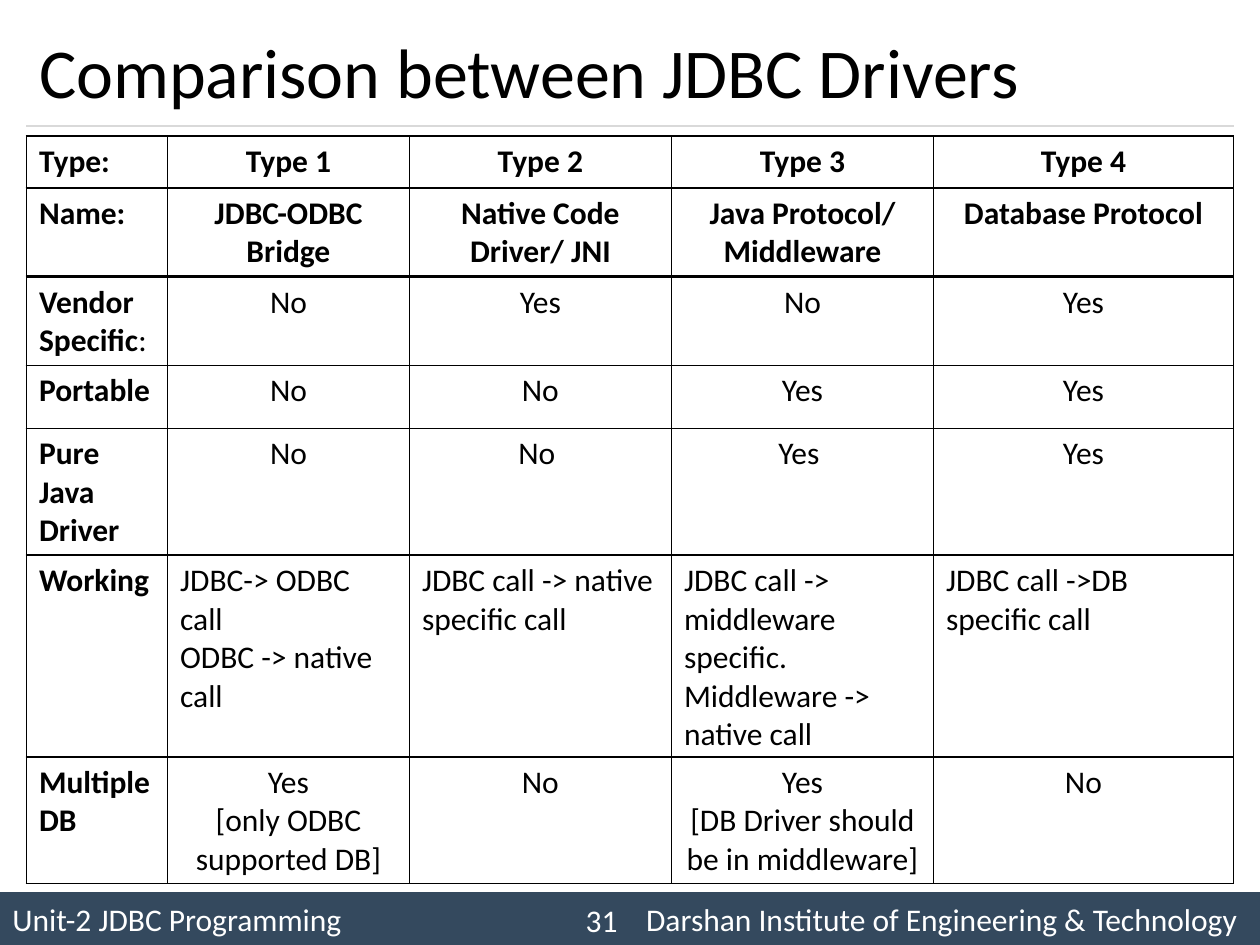
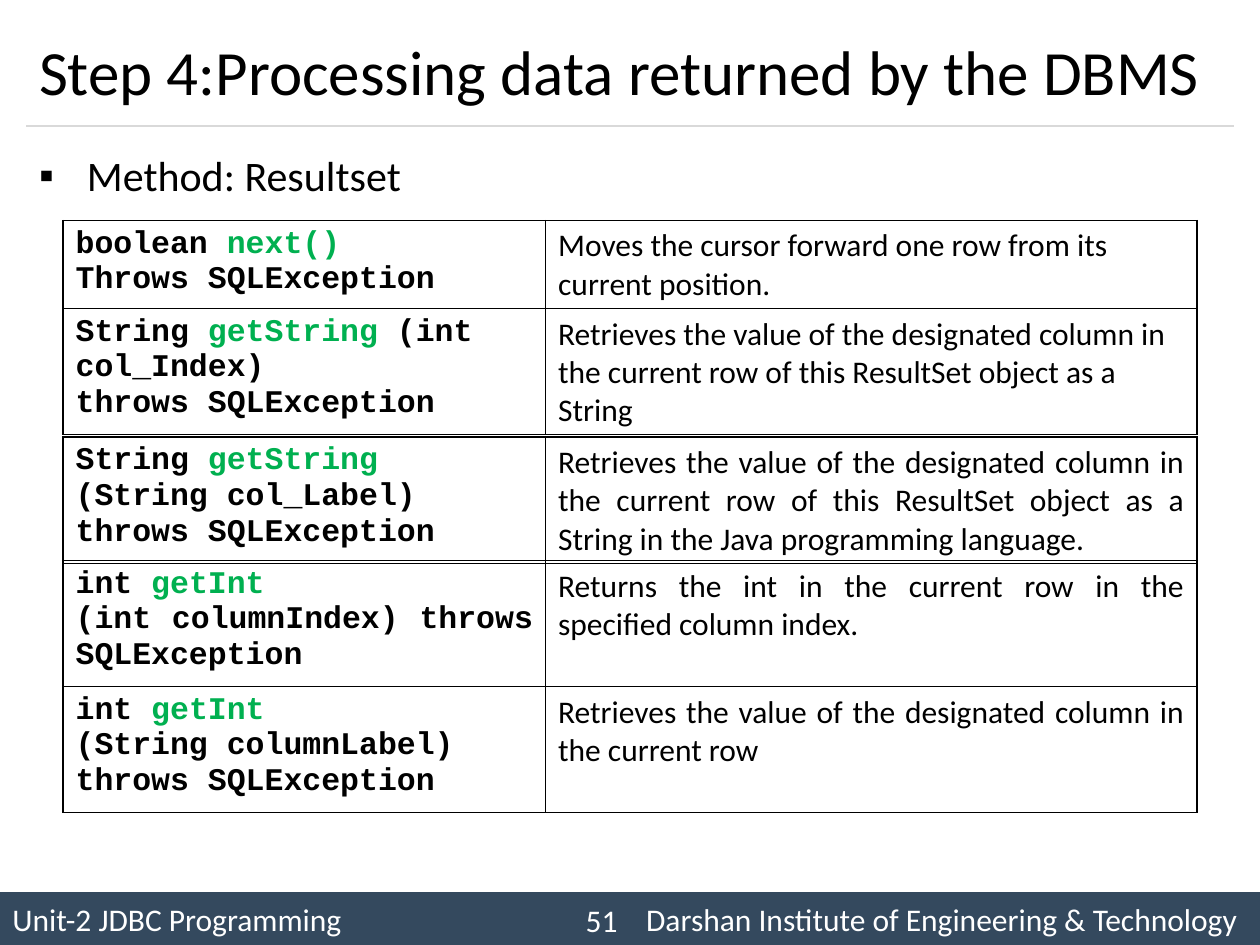
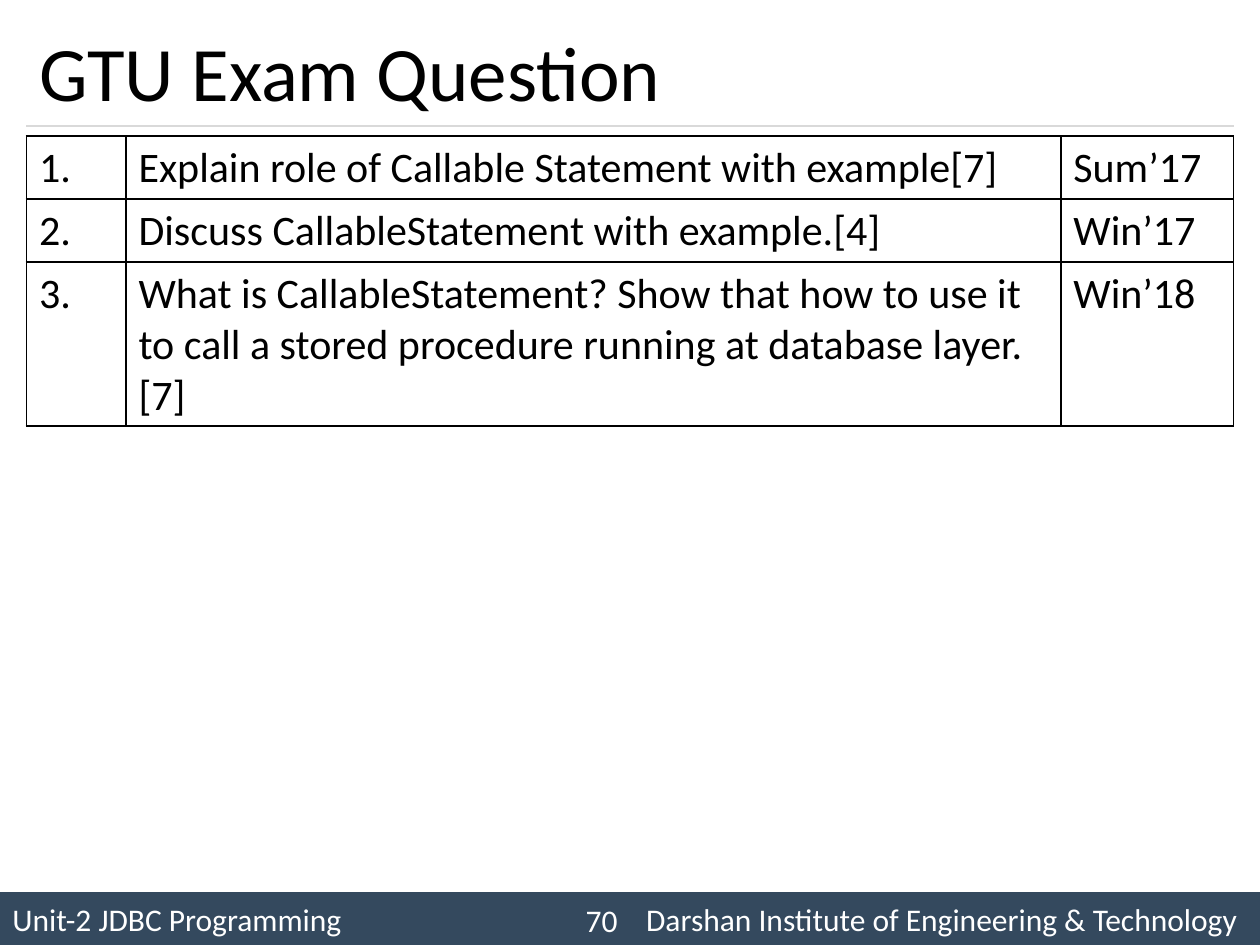
"""Build three JDBC lecture slides with ruled tables and a shared footer."""
import pptx
import pptx.util
import pptx.dml.color
import pptx.enum.shapes
import pptx.enum.text
import pptx.oxml
import pptx.oxml.ns

Inches, Pt = pptx.util.Inches, pptx.util.Pt
ALIGN = {
    "l": pptx.enum.text.PP_ALIGN.LEFT,
    "c": pptx.enum.text.PP_ALIGN.CENTER,
    "r": pptx.enum.text.PP_ALIGN.RIGHT,
    "j": pptx.enum.text.PP_ALIGN.JUSTIFY,
}
MIDDLE = pptx.enum.text.MSO_ANCHOR.MIDDLE
COLORS = {"ink": "000000", "band": "34495E", "rule": "D9D9D9",
          "white": "FFFFFF", "green": "00B050"}

LEFT, WIDTH, TOP = 0.21, 9.58, 1.08
UNIT = "Unit-2 JDBC Programming"
SCHOOL = "Darshan Institute of Engineering & Technology"

PLAIN = {"size": 18, "font": "Calibri", "bold": False, "color": "ink"}
BOLD = {**PLAIN, "bold": True}
LARGE = {**PLAIN, "size": 24}
FOOT = {**PLAIN, "color": "white"}
CODE = {**BOLD, "font": "Courier New"}
NAME = {**CODE, "color": "green"}

DRIVER_COLS = [1.12, 1.92, 2.08, 2.08, 2.38]
DRIVERS = [
    (1.08, 0.41, BOLD, "c", ["Type:", "Type 1", "Type 2", "Type 3", "Type 4"]),
    (1.49, 0.7, BOLD, "c", ["Name:", "JDBC-ODBC Bridge", "Native Code Driver/ JNI",
                            "Java Protocol/ Middleware", "Database Protocol"]),
    (2.2, 0.7, PLAIN, "c", ["Vendor Specific|:", "No", "Yes", "No", "Yes"]),
    (2.9, 0.5, PLAIN, "c", ["Portable", "No", "No", "Yes", "Yes"]),
    (3.4, 1, PLAIN, "c", ["Pure Java Driver", "No", "No ", "Yes ", "Yes"]),
    (4.41, 1.6, PLAIN, "l", [
        "Working",
        ["JDBC-> ODBC call", "ODBC -> native call"],
        "JDBC call -> native specific call",
        ["JDBC call -> middleware specific.", "Middleware -> native call"],
        "JDBC call ->DB specific call"]),
    (6.01, 1, PLAIN, "c", [
        "Multiple DB",
        ["Yes", "[only ODBC supported DB]"],
        "No",
        ["Yes", "[DB Driver should be in middleware]"],
        "No"]),
]

METHOD_COLS = [3.83, 5.17]
METHODS = [
    (1.75, 0.7, "ll", ["boolean |next()", "Throws SQLException"],
     "Moves the cursor forward one row from its current position."),
    (2.45, 1, "ll", ["String |getString |(int col_Index)", "throws SQLException"],
     "Retrieves the value of the designated column in the current row of "
     "this ResultSet object as a String"),
    (3.47, 1, "jj", ["String |getString", "(String col_Label)", "throws SQLException"],
     "Retrieves the value of the designated column in the current row of "
     "this ResultSet object as a String in the Java programming language."),
    (4.45, 0.41, "jj", ["int |getInt ", "(int columnIndex) throws SQLException"],
     "Returns the int in the current row in the specified column index. "),
    (5.45, 1, "lj", ["int |getInt", "(String columnLabel)", "throws SQLException"],
     "Retrieves the value of the designated column in the current row"),
]

EXAM_COLS = [0.79, 7.42, 1.37]
EXAM = [
    ["1.", "Explain role of Callable Statement with example[7]", "Sum’17"],
    ["2.", "Discuss CallableStatement with example.[4]", "Win’17"],
    ["3.", "What is CallableStatement? Show that how to use it to call a stored "
           "procedure running at database layer.[7]", "Win’18"],
]


def rgb(name):
    return pptx.dml.color.RGBColor.from_string(COLORS[name])


def box(*sides):
    return [Inches(side) for side in sides]


def add_run(para, text, style):
    run = para.add_run()
    run.text = text
    run.font.name = style["font"]
    run.font.size = Pt(style["size"])
    run.font.bold = style["bold"]
    run.font.color.rgb = rgb(style["color"])


def write(frame, lines, style, align="l", accent=None):
    """Write paragraphs; runs split by a bar take style and accent in turn."""
    lines = [lines] if isinstance(lines, str) else lines
    for row, line in enumerate(lines):
        para = frame.add_paragraph() if row else frame.paragraphs[0]
        para.alignment = ALIGN[align]
        for part, text in enumerate(line.split("|")):
            add_run(para, text, accent if part % 2 else style)


def add_xml(parent, xml):
    ns = pptx.oxml.ns.nsdecls("a")
    parent.append(pptx.oxml.parse_xml(xml.replace("NS", ns, 1)))


def rule_cell(cell):
    props = cell._tc.get_or_add_tcPr()
    for side in "LRTB":
        add_xml(props, f'<a:ln{side} NS w="12700"><a:solidFill><a:srgbClr '
                       f'val="{COLORS["ink"]}"/></a:solidFill></a:ln{side}>')
    cell.fill.background()


def add_grid(slide, left, top, cols, heights, cells):
    """Add a ruled table whose cells are write() argument tuples."""
    table = slide.shapes.add_table(
        len(heights), len(cols), *box(left, top, sum(cols), sum(heights))).table
    table.first_row = table.horz_banding = False
    for col, width in zip(table.columns, cols):
        col.width = Inches(width)
    for row, height, items in zip(table.rows, heights, cells):
        row.height = Inches(height)
        for cell, item in zip(row.cells, items):
            rule_cell(cell)
            write(cell.text_frame, *item)


def add_footer(slide, number):
    band = slide.shapes.add_shape(
        pptx.enum.shapes.MSO_SHAPE.RECTANGLE, *box(0, 7.08, 10, 0.42))
    band.shadow.inherit = False
    band.fill.solid()
    band.fill.fore_color.rgb = rgb("band")
    band.line.fill.background()
    frame = band.text_frame
    frame.vertical_anchor = MIDDLE
    add_xml(frame.paragraphs[0]._p.get_or_add_pPr(),
            f'<a:tabLst NS><a:tab pos="{Inches(5.03)}" algn="l"/></a:tabLst>')
    write(frame, f"{UNIT}\t{SCHOOL}", FOOT)

    page = slide.shapes.add_textbox(*box(4.17, 7.1, 0.83, 0.4)).text_frame
    page.word_wrap = True
    page.vertical_anchor = MIDDLE
    write(page, str(number), FOOT, "r")


def add_rule(slide):
    line = slide.shapes.add_connector(
        pptx.enum.shapes.MSO_CONNECTOR.STRAIGHT, *box(LEFT, 1, LEFT + WIDTH, 1))
    line.line.color.rgb = rgb("rule")
    line.line.width = Pt(0.75)
    add_xml(line._element.spPr, "<a:effectLst NS/>")


def place(shape, *sides):
    shape.left, shape.top, shape.width, shape.height = box(*sides)
    shape.text_frame.auto_size = pptx.enum.text.MSO_AUTO_SIZE.NONE
    return shape.text_frame


def add_slide(deck, layout, title, size, number):
    slide = deck.slides.add_slide(deck.slide_layouts[layout])
    frame = place(slide.shapes.title, LEFT, 0.12, WIDTH, 0.88)
    frame.vertical_anchor = MIDDLE
    write(frame, title, {**PLAIN, "size": size})
    add_footer(slide, number)
    add_rule(slide)
    return slide


def add_drivers(deck):
    slide = add_slide(deck, 5, "Comparison between JDBC Drivers", 40, 31)
    for top, height, style, align, (label, *texts) in DRIVERS:
        cells = [(label, BOLD, "l", PLAIN)] + [(text, style, align) for text in texts]
        add_grid(slide, LEFT, top, DRIVER_COLS, [height], [cells])


def add_methods(deck):
    slide = add_slide(deck, 1, "Step 4:Processing data returned by the DBMS", 36, 51)
    frame = place(slide.placeholders[1], LEFT, TOP, WIDTH, 5.83)
    para = frame.paragraphs[0]
    props = para._p.get_or_add_pPr()
    props.set("marL", str(Inches(0.38)))
    props.set("indent", str(-Inches(0.38)))
    add_xml(props, '<a:buChar NS char="▪"/>')
    para.line_spacing = 1.14
    para.space_before = Pt(0)
    write(frame, "Method: Resultset", LARGE)
    for top, height, (first, second), code, note in METHODS:
        cells = [(code, CODE, first, NAME), (note, PLAIN, second)]
        add_grid(slide, 0.5, top, METHOD_COLS, [height], [cells])


def add_exam(deck):
    slide = add_slide(deck, 5, "GTU Exam Question", 44, 70)
    cells = [[(text, LARGE) for text in row] for row in EXAM]
    add_grid(slide, LEFT, TOP, EXAM_COLS, [0.5, 0.5, 1.3], cells)


def main():
    deck = pptx.Presentation()
    deck.slide_width, deck.slide_height = box(10, 7.5)
    add_drivers(deck)
    add_methods(deck)
    add_exam(deck)
    deck.save("out.pptx")


if __name__ == "__main__":
    main()
